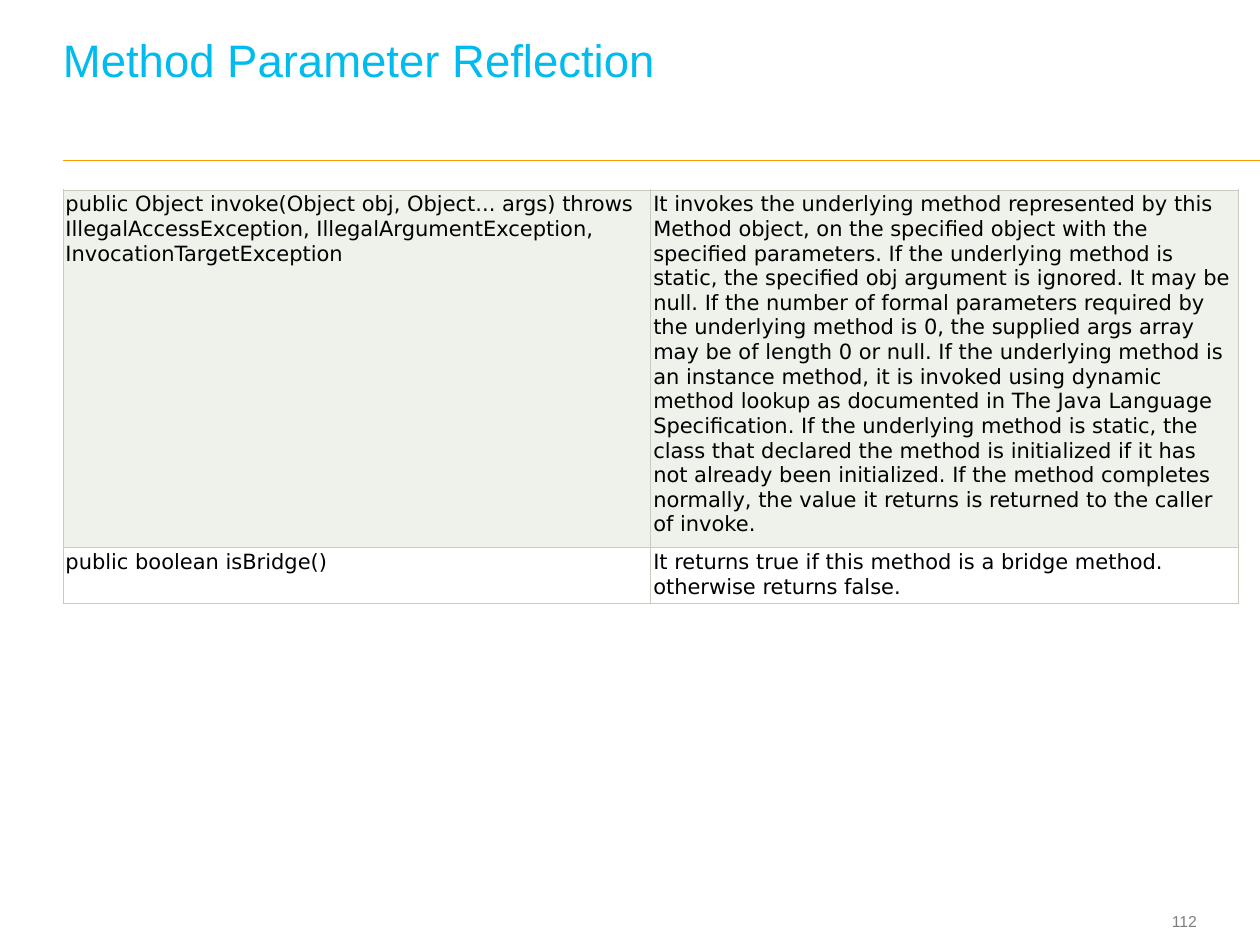
"""Build the Method Parameter Reflection slide."""
import pptx
import pptx.dml.color
import pptx.enum.shapes
import pptx.enum.text
import pptx.oxml
import pptx.oxml.ns
import pptx.util
from lxml import etree

RGBColor = pptx.dml.color.RGBColor
CYAN = RGBColor(0x00, 0xBB, 0xEE)
ORANGE = RGBColor(0xFF, 0x99, 0x00)
GRAY = RGBColor(0x7F, 0x7F, 0x7F)
BLACK = RGBColor(0x00, 0x00, 0x00)
WHITE = RGBColor(0xFF, 0xFF, 0xFF)
PALE = RGBColor(0xEF, 0xF1, 0xEB)
BORDER = RGBColor(0xC7, 0xCC, 0xBE)
ALIGN = pptx.enum.text.PP_ALIGN
ANCHOR = pptx.enum.text.MSO_ANCHOR
Pt = pptx.util.Pt
Inches = pptx.util.Inches

prs = pptx.Presentation()
prs.slide_width, prs.slide_height = Inches(10), Inches(7.5)
W, H = prs.slide_width, prs.slide_height
LEFT = int(W * 0.05)
s = prs.slides.add_slide(prs.slide_layouts[6])


def write(tf, text, size=12, font="DejaVu Sans", color=BLACK, align=ALIGN.LEFT, spacing=None):
    tf.word_wrap = True
    p = tf.paragraphs[0]
    p.alignment = align
    if spacing:
        p.line_spacing = Pt(spacing)
    r = p.add_run()
    r.text = text
    r.font.size, r.font.name = Pt(size), font
    r.font.color.rgb = color


rule_y = int(H * 0.17)
rule = s.shapes.add_connector(pptx.enum.shapes.MSO_CONNECTOR.STRAIGHT, LEFT, rule_y, W, rule_y)
rule.line.color.rgb, rule.line.width = ORANGE, Pt(1)
etree.SubElement(rule._element.spPr, pptx.oxml.ns.qn("a:effectLst"))

boxes = [
    ("112", (0.89, 0.957, 0.06, 0.036), ANCHOR.MIDDLE, 0,
     dict(size=9, font="Arial", color=GRAY, align=ALIGN.RIGHT)),
    ("Method Parameter Reflection", (0.05, 0.025, 0.9, 0.115), ANCHOR.BOTTOM, 26,
     dict(size=26, font="Arial", color=CYAN, spacing=26)),
]
for text, (x, y, w, h), anchor, bottom, style in boxes:
    sp = s.shapes.add_textbox(int(W * x), int(H * y), int(W * w), int(H * h))
    tf = sp.text_frame
    tf.margin_left = tf.margin_top = tf.margin_right = 0
    tf.margin_bottom = Pt(bottom)
    tf.vertical_anchor = anchor
    write(tf, text, **style)

methods = [
    ("public Object invoke(Object obj, Object... args) throws IllegalAccessException, "
     "IllegalArgumentException, InvocationTargetException",
     "It invokes the underlying method represented by this Method object, on the specified "
     "object with the specified parameters. If the underlying method is static, the specified "
     "obj argument is ignored. It may be null. If the number of formal parameters required by "
     "the underlying method is 0, the supplied args array may be of length 0 or null. If the "
     "underlying method is an instance method, it is invoked using dynamic method lookup as "
     "documented in The Java Language Specification. If the underlying method is static, the "
     "class that declared the method is initialized if it has not already been initialized. "
     "If the method completes normally, the value it returns is returned to the caller of "
     "invoke."),
    ("public boolean isBridge()",
     "It returns true if this method is a bridge method. otherwise returns false."),
]
row_heights = [int(H * 0.37), int(H * 0.057)]
table = s.shapes.add_table(2, 2, LEFT, int(H * 0.201), int(W * 0.933), sum(row_heights)).table
table.first_row = table.horz_banding = False
for row, height, texts, fill in zip(table.rows, row_heights, methods, (PALE, WHITE)):
    row.height = height
    for cell, text in zip(row.cells, texts):
        cell.margin_left = cell.margin_right = cell.margin_top = cell.margin_bottom = Inches(0.02)
        for side in ("lnL", "lnR", "lnT", "lnB"):
            cell._tc.get_or_add_tcPr().append(pptx.oxml.parse_xml(
                f'<a:{side} {pptx.oxml.ns.nsdecls("a")} w="{Pt(0.6)}"><a:solidFill>'
                f'<a:srgbClr val="{BORDER}"/></a:solidFill></a:{side}>'))
        cell.fill.solid()
        cell.fill.fore_color.rgb = fill
        write(cell.text_frame, text)

prs.save("out.pptx")
